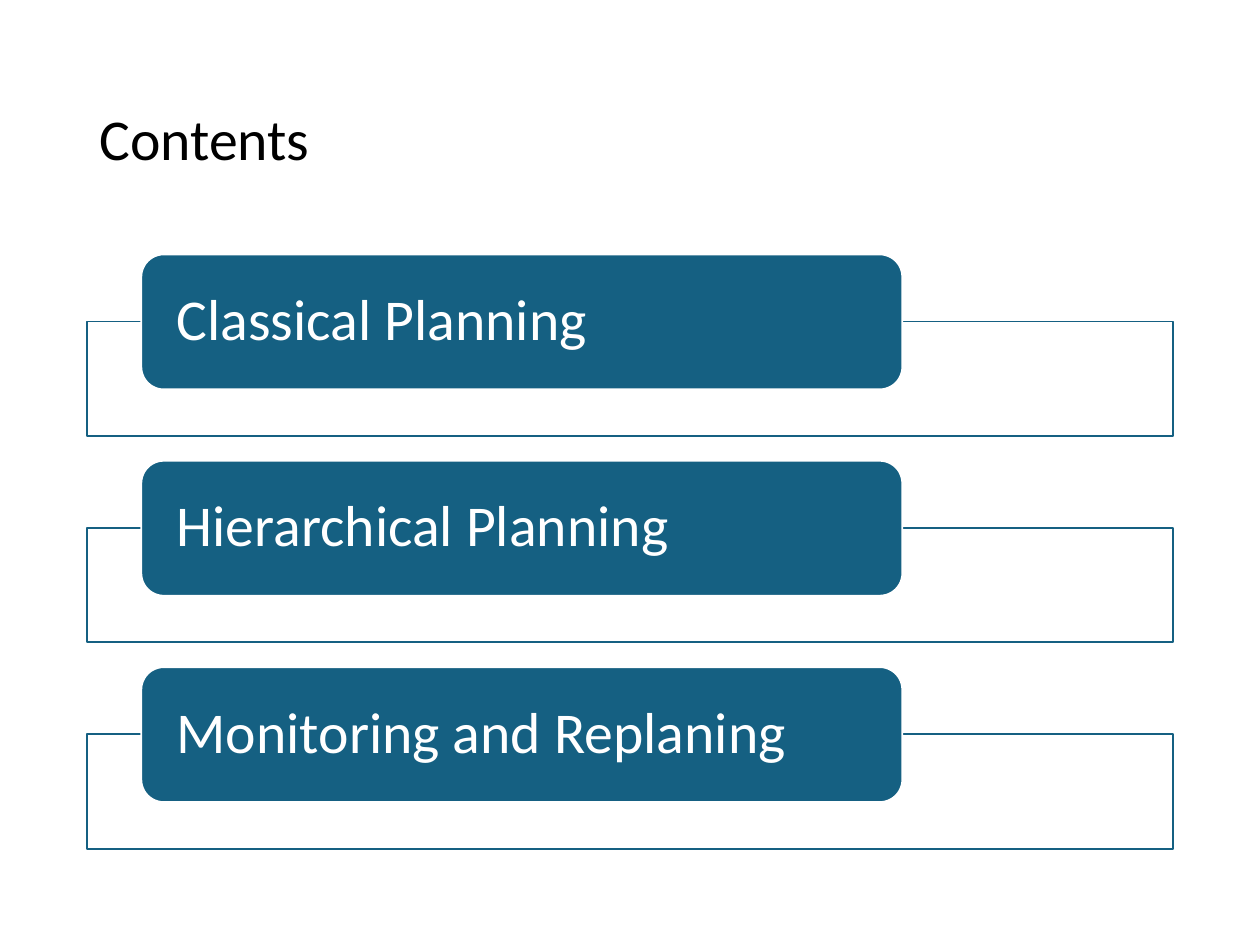
from dataclasses import dataclass

from lxml import etree
from pptx import Presentation
from pptx import util as u
from pptx.dml.color import RGBColor
from pptx.enum import shapes, text
from pptx.oxml.ns import qn

COLORS = {"accent": "156082", "paper": "FFFFFF", "title": "000000"}
FONT = "Calibri"
FONT_SIZE = u.Pt(33)
LEFT, WIDTH = u.Cm(1.75), u.Cm(21.9)
FIRST_TOP, ROW_PITCH = u.Cm(5.13), u.Cm(4.16)
FRAME_DROP = u.Cm(1.35)  # from the top of a label to the top of its frame


@dataclass
class Topic:
    label: str
    top: int


def color(name: str) -> RGBColor:
    return RGBColor.from_string(COLORS[name])


def write(text_frame, words: str, color_name: str) -> None:
    text_frame.word_wrap = True
    text_frame.auto_size = text.MSO_AUTO_SIZE.NONE
    text_frame.vertical_anchor = text.MSO_ANCHOR.MIDDLE
    paragraph = text_frame.paragraphs[0]
    paragraph.alignment = text.PP_ALIGN.LEFT
    paragraph.line_spacing = 0.9
    run = paragraph.add_run()
    run.text = words
    run.font.name = FONT
    run.font.size = FONT_SIZE
    run.font.color.rgb = color(color_name)


def add_box(slide, kind, left: int, top: int, width: int, height: int,
            fill: str, line: str):
    shape = slide.shapes.add_shape(kind, left, top, width, height)
    shape.shadow.inherit = False
    shape.fill.solid()
    shape.fill.fore_color.rgb = color(fill)
    shape.line.color.rgb = color(line)
    shape.line.width = u.Pt(1)
    return shape


def set_opacity(shape, percent: int) -> None:
    fill_color = shape.fill._xPr.find(qn("a:solidFill"))[0]
    etree.SubElement(fill_color, qn("a:alpha"), val=str(percent * 1000))


def add_topic(slide, topic: Topic) -> None:
    frame = add_box(slide, shapes.MSO_SHAPE.RECTANGLE, LEFT,
                    topic.top + FRAME_DROP, WIDTH, u.Cm(2.31),
                    "paper", "accent")
    set_opacity(frame, 90)
    label = add_box(slide, shapes.MSO_SHAPE.ROUNDED_RECTANGLE, u.Cm(2.85),
                    topic.top, u.Cm(15.34), u.Cm(2.72), "accent", "paper")
    text_frame = label.text_frame
    text_frame.margin_left = text_frame.margin_right = u.Cm(0.58)
    text_frame.margin_top = text_frame.margin_bottom = 0
    write(text_frame, topic.label, "paper")


def main() -> None:
    presentation = Presentation()
    presentation.slide_width, presentation.slide_height = u.Cm(25.4), u.Cm(19.05)
    slide = presentation.slides.add_slide(presentation.slide_layouts[5])

    # Title
    title = slide.shapes.title
    title.left, title.top = LEFT, u.Cm(1.02)
    title.width, title.height = WIDTH, u.Cm(3.68)
    write(title.text_frame, "Contents", "title")

    # Topics, evenly spaced down the slide
    labels = ["Classical Planning", "Hierarchical Planning",
              "Monitoring and Replaning"]
    for row, label in enumerate(labels):
        add_topic(slide, Topic(label, FIRST_TOP + row * ROW_PITCH))

    presentation.save("out.pptx")


if __name__ == "__main__":
    main()
